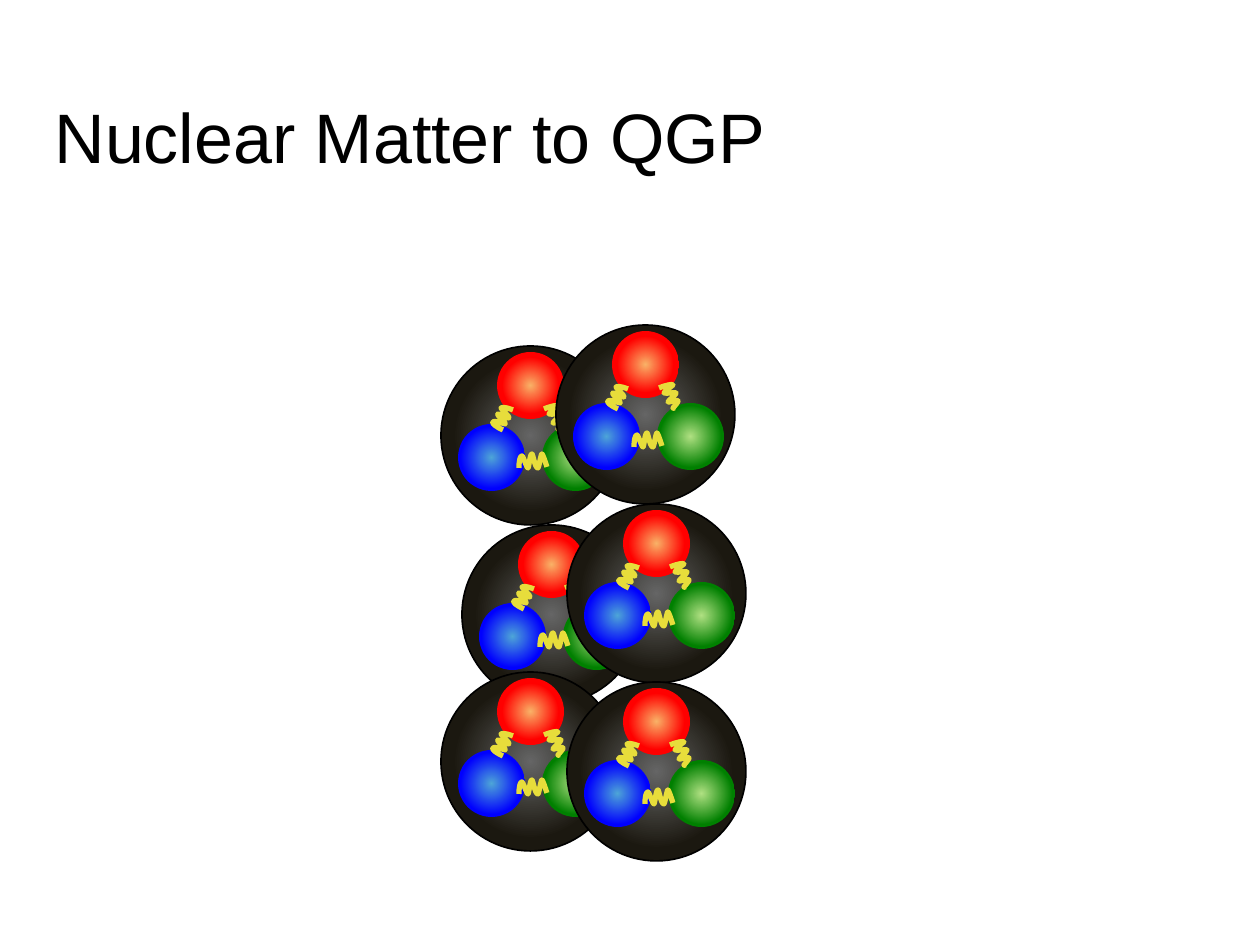
from lxml.etree import SubElement
from pptx import Presentation
from pptx.dml.color import RGBColor as Rgb
from pptx.enum.shapes import MSO_SHAPE as Shape
from pptx.enum.text import MSO_ANCHOR as Anchor, MSO_AUTO_SIZE as AutoSize, PP_ALIGN as Align
from pptx.oxml import parse_xml
from pptx.oxml.ns import nsdecls, qn
from pptx.util import Pt

PX = 914400 / 126
COLORS = {
    "text": "000000", "outline": "000000", "gluon": "E7DD3B",
    "nucleon": "1B1810", "nucleon_core": "656565",
    "blue": "0000FF", "blue_core": "4EA5D8",
    "red": "FF0000", "red_core": "F9B268",
    "green": "008000", "green_core": "B0E183",
}
NUCLEON_SIZE, QUARK_SIZE = 179, 67
NUCLEONS = [(441, 346), (462, 525), (441, 672), (556, 325), (567, 504), (567, 682)]
QUARKS = [("blue", 17, 78, 0.66), ("red", 56, 6, 0.6), ("green", 101, 78, 0.66)]
GLUONS = [
    [(78, 122), (78, 116), (79, 110), (81, 110), (82, 110), (86, 122), (87, 122),
     (88, 122), (89, 108), (91, 108), (92, 108), (94, 122), (97, 122),
     (98, 122), (100, 108), (101, 108), (102, 108), (106, 121), (106, 121)],
    [(103, 63), (110, 60), (116, 59), (117, 60), (117, 60), (108, 67), (108, 68),
     (110, 69), (120, 67), (120, 68), (121, 69), (112, 76), (112, 77),
     (112, 78), (122, 74), (122, 76), (123, 76), (118, 82), (117, 83),
     (117, 84), (118, 83), (118, 83)],
    [(62, 84), (55, 81), (50, 77), (52, 76), (52, 74), (64, 78), (64, 78),
     (66, 77), (55, 69), (57, 68), (57, 68), (68, 73), (68, 72),
     (69, 71), (60, 63), (60, 62), (62, 60), (72, 64), (72, 64)],
]


def emu(px):
    """Turn px into EMU."""
    return round(px * PX)


def color(name):
    """Look up a colour by name."""
    return Rgb.from_string(COLORS[name])


def write_text(frame, text, *, size, ink="text", font="Arial", align=Align.LEFT):
    """Put one formatted, unwrapped line in a text frame."""
    frame.auto_size = AutoSize.NONE
    frame.word_wrap = False
    frame.vertical_anchor = Anchor.MIDDLE
    frame.text = text
    line = frame.paragraphs[0]
    line.alignment = align
    line.font.size = Pt(size)
    line.font.name = font
    line.font.color.rgb = color(ink)


def add_title(slide, text):
    """Place and fill the title."""
    title = slide.shapes.title
    title.left, title.top, title.width, title.height = map(emu, (42, 73, 740, 126))
    write_text(title.text_frame, text, size=40)


def add_ball(slide, name, x, y, size, edge, outlined=False):
    """Draw a sphere shaded from its core colour out to its edge colour."""
    ball = slide.shapes.add_shape(Shape.OVAL, emu(x), emu(y), emu(size), emu(size))
    ball.shadow.inherit = False
    ball.fill.gradient()
    core, rim = ball.fill.gradient_stops
    core.position, rim.position = 0, edge
    core.color.rgb, rim.color.rgb = color(name + "_core"), color(name)
    shading = ball._element.spPr.find(qn("a:gradFill"))
    shading.remove(shading.find(qn("a:lin")))
    shading.append(parse_xml(
        f'<a:path {nsdecls("a")} path="circle">'
        '<a:fillToRect l="50000" t="50000" r="50000" b="50000"/></a:path>'))
    if outlined:
        ball.line.color.rgb = color("outline")
        ball.line.width = Pt(0.94)
    else:
        ball.line.fill.background()


def bend_segments(outline):
    """Turn each run of three straight segments into one cubic curve."""
    segments = list(outline.iter(qn("a:lnTo")))
    for first in range(0, len(segments), 3):
        curve = SubElement(segments[first].getparent(), qn("a:cubicBezTo"))
        for segment in segments[first:first + 3]:
            curve.append(segment.find(qn("a:pt")))
            segment.getparent().remove(segment)


def add_gluon(slide, x, y, knots):
    """Draw a wavy gluon inside the nucleon at x, y."""
    points = [(emu(x + dx), emu(y + dy)) for dx, dy in knots]
    builder = slide.shapes.build_freeform(*points[0])
    builder.add_line_segments(points[1:], close=False)
    gluon = builder.convert_to_shape()
    bend_segments(gluon._element.spPr)
    gluon.shadow.inherit = False
    gluon.fill.background()
    gluon.line.color.rgb = color("gluon")
    gluon.line.width = Pt(3)


def add_nucleon(slide, x, y):
    """Draw a nucleon with three quarks bound by gluons."""
    add_ball(slide, "nucleon", x, y, NUCLEON_SIZE, 0.61, outlined=True)
    for flavor, dx, dy, edge in QUARKS:
        add_ball(slide, flavor, x + dx, y + dy, QUARK_SIZE, edge)
    for knots in GLUONS:
        add_gluon(slide, x, y, knots)


def main():
    """Build the slide and save it."""
    deck = Presentation()
    deck.slide_width, deck.slide_height = emu(1260), emu(945)
    slide = deck.slides.add_slide(deck.slide_layouts[5])
    add_title(slide, "Nuclear Matter to QGP")
    for x, y in NUCLEONS:
        add_nucleon(slide, x, y)
    deck.save("out.pptx")


if __name__ == "__main__":
    main()
